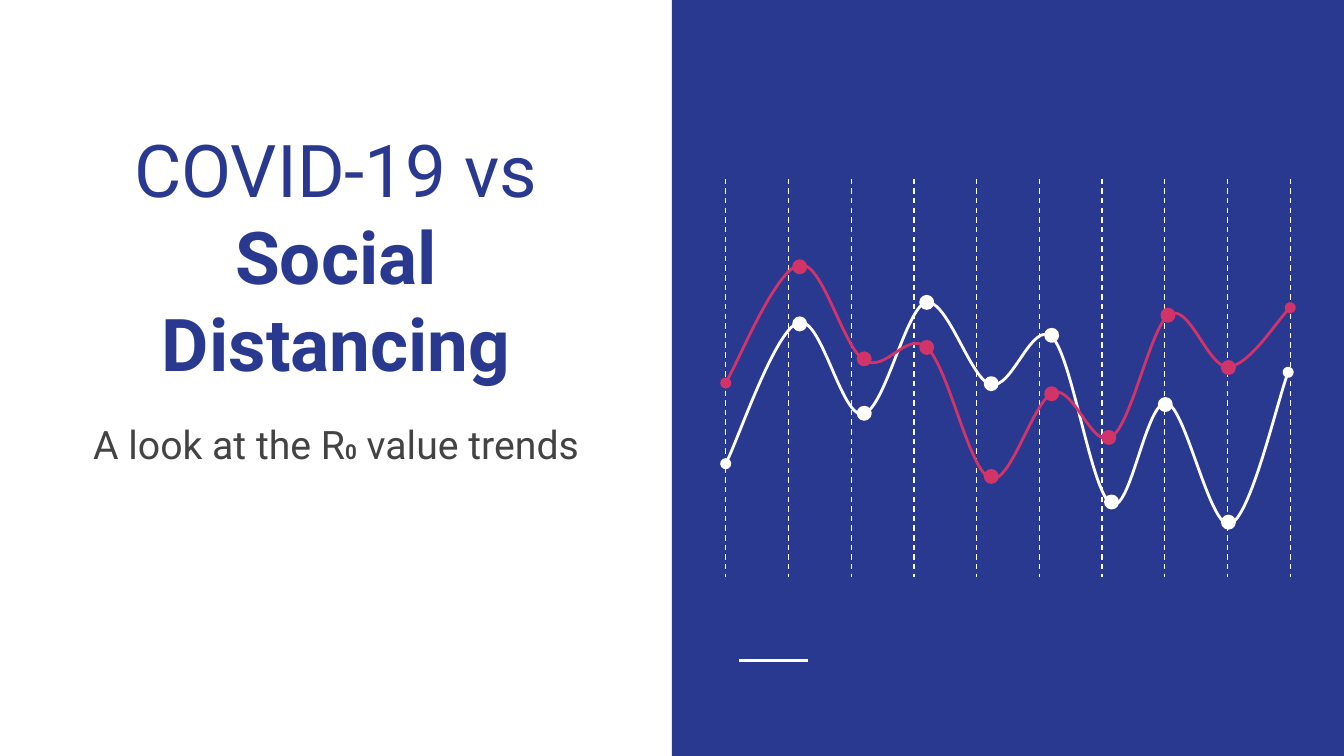
from typing import NamedTuple, Optional

from lxml.etree import SubElement
from pptx import Presentation
from pptx.dml.color import RGBColor
from pptx.enum.dml import MSO_LINE_DASH_STYLE as Dash
from pptx.enum.shapes import MSO_CONNECTOR as Connector, MSO_SHAPE as Preset
from pptx.enum.text import MSO_ANCHOR as Anchor, PP_ALIGN as Align
from pptx.oxml.ns import qn
from pptx.util import Pt

PX = 4572  # 200 px to the inch
SLIDE_WIDTH, SLIDE_HEIGHT = 2000, 1125
FONT = "Roboto"
COLORS = {
    "navy": "2A3990",
    "white": "FFFFFF",
    "pink": "D23369",
    "grey": "434343",
}
DOT_SIZE = 18
GRID_LEFT, GRID_RIGHT, GRID_TOP, GRID_BOTTOM = 1080, 1920, 266, 858
GRID_LINES = 10

Point = tuple[int, int]


class Bend(NamedTuple):
    """One cubic segment, with the top left corner of the dot at its end."""
    control_1: Point
    control_2: Point
    end: Point
    dot: Optional[Point] = None


class Trend(NamedTuple):
    color: str
    start: Point
    bends: list[Bend]


class Span(NamedTuple):
    text: str
    size: int
    bold: bool = False


class Caption(NamedTuple):
    top: int
    height: int
    color: str
    anchor: Anchor
    spans: list[Span]


TRENDS = [
    Trend("white", (1080, 690), [
        Bend((1098, 656), (1154, 492), (1188, 480), (1181, 473)),
        Bend((1222, 468), (1252, 622), (1284, 616), (1277, 606)),
        Bend((1316, 612), (1348, 458), (1378, 450), (1370, 441)),
        Bend((1410, 444), (1444, 564), (1474, 572), (1466, 562)),
        Bend((1506, 582), (1536, 474), (1566, 502), (1556, 490)),
        Bend((1596, 532), (1624, 734), (1654, 750), (1645, 738)),
        Bend((1682, 766), (1706, 594), (1736, 600), (1725, 593)),
        Bend((1764, 604), (1800, 786), (1830, 780), (1819, 768)),
        Bend((1860, 772), (1902, 592), (1917, 554)),
    ]),
    Trend("pink", (1080, 570), [
        Bend((1098, 540), (1156, 400), (1190, 394), (1181, 388)),
        Bend((1224, 388), (1254, 516), (1286, 536), (1277, 525)),
        Bend((1318, 556), (1350, 490), (1380, 518), (1370, 508)),
        Bend((1412, 548), (1442, 700), (1474, 712), (1466, 700)),
        Bend((1504, 722), (1538, 594), (1568, 584), (1556, 577)),
        Bend((1598, 574), (1626, 670), (1654, 650), (1641, 642)),
        Bend((1684, 632), (1712, 486), (1740, 468), (1729, 460)),
        Bend((1770, 450), (1798, 548), (1828, 546), (1819, 538)),
        Bend((1858, 544), (1904, 472), (1920, 458)),
    ]),
]
CAPTIONS = [
    Caption(253, 342, "navy", Anchor.BOTTOM, [
        Span("COVID-19 vs ", 39),
        Span("Social Distancing", 39, True),
    ]),
    Caption(606, 278, "grey", Anchor.TOP, [
        Span("A look at the R", 21),
        Span("0", 11, True),
        Span(" value trends", 21),
    ]),
]


def rgb(name: str) -> RGBColor:
    return RGBColor.from_string(COLORS[name])


def add_filled(slide, preset: Preset, left: int, top: int, width: int, height: int, color: str):
    shape = slide.shapes.add_shape(preset, left * PX, top * PX, width * PX, height * PX)
    shape.shadow.inherit = False
    shape.fill.solid()
    shape.fill.fore_color.rgb = rgb(color)
    shape.line.fill.background()
    return shape


def style_line(line, color: str, width: float) -> None:
    line.color.rgb = rgb(color)
    line.width = Pt(width)


def add_rule(slide, start: Point, end: Point, width: float, dash: Optional[Dash] = None) -> None:
    rule = slide.shapes.add_connector(
        Connector.STRAIGHT, start[0] * PX, start[1] * PX, end[0] * PX, end[1] * PX)
    style_line(rule.line, "white", width)
    if dash is not None:
        rule.line.dash_style = dash
    SubElement(rule._element.spPr, qn("a:effectLst"))


def add_caption(slide, caption: Caption) -> None:
    box = slide.shapes.add_textbox(58 * PX, caption.top * PX, 884 * PX, caption.height * PX)
    frame = box.text_frame
    frame.word_wrap = True
    frame.vertical_anchor = caption.anchor
    frame.margin_left = frame.margin_right = 20 * PX
    frame.margin_top = frame.margin_bottom = 20 * PX
    paragraph = frame.paragraphs[0]
    paragraph.alignment = Align.CENTER
    for span in caption.spans:
        run = paragraph.add_run()
        run.text = span.text
        run.font.name = FONT
        run.font.size = Pt(span.size)
        run.font.bold = span.bold
        run.font.color.rgb = rgb(caption.color)


def add_curve(slide, trend: Trend) -> None:
    """Draw the anchors as a freeform, then bend each straight segment."""
    anchors = [trend.start] + [bend.end for bend in trend.bends]
    builder = slide.shapes.build_freeform(*trend.start, scale=PX)
    builder.add_line_segments(anchors[1:], close=False)
    curve = builder.convert_to_shape()
    curve.shadow.inherit = False
    curve.fill.background()
    style_line(curve.line, trend.color, 1.5)

    left = min(x for x, _ in anchors)
    top = min(y for _, y in anchors)
    segments = list(curve._element.iter(qn("a:lnTo")))
    for segment, bend in zip(segments, trend.bends):
        segment.tag = qn("a:cubicBezTo")
        for child in list(segment):
            segment.remove(child)
        for x, y in bend[:3]:
            SubElement(segment, qn("a:pt"), x=str(x - left), y=str(y - top))

    outline = curve.line._get_or_add_ln()
    for end in ("a:headEnd", "a:tailEnd"):
        SubElement(outline, qn(end), type="oval", w="med", len="med")


def add_trend(slide, trend: Trend) -> None:
    add_curve(slide, trend)
    for bend in trend.bends:
        if bend.dot:
            dot = add_filled(slide, Preset.OVAL, *bend.dot, DOT_SIZE, DOT_SIZE, trend.color)
            style_line(dot.line, trend.color, 1.5)


def main() -> None:
    deck = Presentation()
    deck.slide_width, deck.slide_height = SLIDE_WIDTH * PX, SLIDE_HEIGHT * PX
    slide = deck.slides.add_slide(deck.slide_layouts[6])

    half = SLIDE_WIDTH // 2
    add_filled(slide, Preset.RECTANGLE, half, 0, half, SLIDE_HEIGHT, "navy")
    add_rule(slide, (1100, 983), (1202, 983), 1.5)
    for caption in CAPTIONS:
        add_caption(slide, caption)

    for index in range(GRID_LINES):
        x = round(GRID_LEFT + index * (GRID_RIGHT - GRID_LEFT) / (GRID_LINES - 1))
        add_rule(slide, (x, GRID_TOP), (x, GRID_BOTTOM), 0.75, Dash.DASH)
    for trend in TRENDS:
        add_trend(slide, trend)

    deck.save("out.pptx")


if __name__ == "__main__":
    main()
